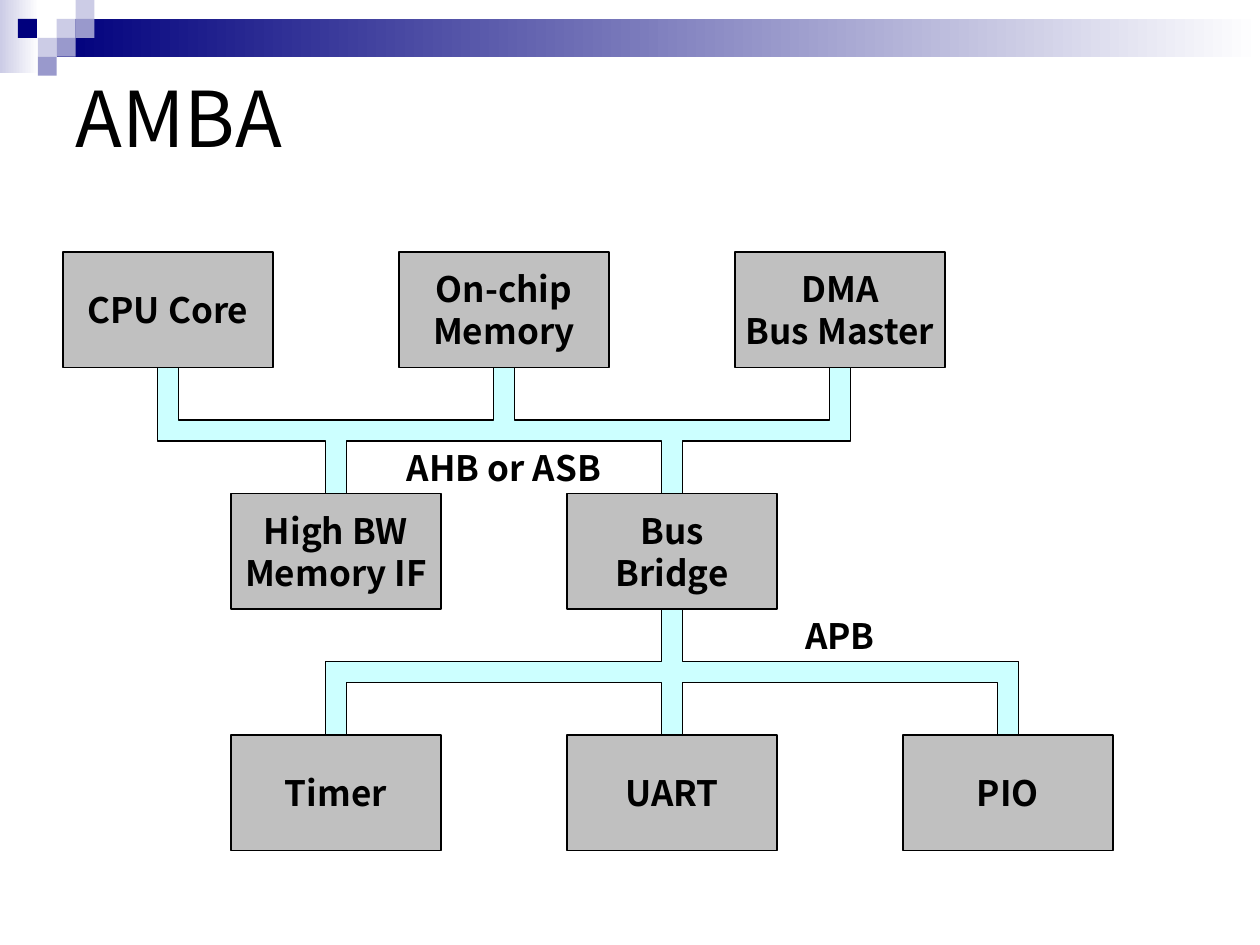
from pptx import Presentation
from pptx.dml.color import RGBColor
from pptx.enum.shapes import MSO_SHAPE
from pptx.enum.text import MSO_ANCHOR, PP_ALIGN
from pptx.util import Inches, Pt

FONT = "Noto Sans CJK KR"
BLACK, GREY, CYAN = "000000", "C0C0C0", "CCFFFF"
NAVY, LILAC, VIOLET, WHITE = "00007D", "CCCCE6", "9999CC", "FFFFFF"

# The diagram lies on a grid of twelfths of an inch
UNIT = 1 / 12
BLOCK_WIDTH, BLOCK_HEIGHT = 20 * UNIT, 11 * UNIT
PITCH = 32 * UNIT
BUS_WIDTH = 2 * UNIT
STUB = 5 * UNIT


def color(value):
    return RGBColor.from_string(value)


def write(shape, text, size=20, bold=True, align=PP_ALIGN.CENTER, wrap=False,
          side_margin=0.1):
    frame = shape.text_frame
    frame.word_wrap = wrap
    frame.vertical_anchor = MSO_ANCHOR.MIDDLE
    frame.margin_left = frame.margin_right = Inches(side_margin)
    for number, line in enumerate(text.split("\n")):
        para = frame.paragraphs[0] if number == 0 else frame.add_paragraph()
        para.alignment = align
        span = para.add_run()
        span.text = line
        span.font.name = FONT
        span.font.size = Pt(size)
        span.font.bold = bold
        span.font.color.rgb = color(BLACK)


def add_text(page, box, text, **text_format):
    write(page.shapes.add_textbox(*map(Inches, box)), text, **text_format)


def add_rectangle(page, box):
    shape = page.shapes.add_shape(MSO_SHAPE.RECTANGLE, *map(Inches, box))
    shape.shadow.inherit = False
    return shape


def paint(shape, fill):
    shape.fill.solid()
    shape.fill.fore_color.rgb = color(fill)
    shape.line.color.rgb = color(BLACK)
    shape.line.width = Pt(0.75)


def add_banner(page, left, top, width):
    """Two fading bars and a mosaic of small squares."""
    bars = [((left, top, 0.31, 0.58), LILAC),
            ((left + 0.45, top + 0.15, width - 0.45, 0.3), NAVY)]
    for box, tint in bars:
        bar = add_rectangle(page, box)
        bar.line.fill.background()
        bar.fill.gradient()
        bar.fill.gradient_angle = 180
        for stop, value in zip(bar.fill.gradient_stops, (WHITE, tint)):
            stop.color.rgb = color(value)
        bar.fill.gradient_stops[0].position = 0
        bar.fill.gradient_stops[1].position = 1

    side = 0.15
    squares = [(3, 1, LILAC), (4, 0, LILAC), (4, 1, VIOLET), (2, 2, LILAC),
               (0.95, 1, NAVY), (3, 2, VIOLET), (2, 3, VIOLET)]
    for column, row, tint in squares:
        square = add_rectangle(
            page, (left + column * side, top + row * side, side, side))
        square.fill.solid()
        square.fill.fore_color.rgb = color(tint)
        square.line.fill.background()


def add_block_row(page, left, top, labels):
    """Evenly spaced blocks; returns the centre of each."""
    centers = []
    for number, label in enumerate(labels):
        x = left + number * PITCH
        block = add_rectangle(page, (x, top, BLOCK_WIDTH, BLOCK_HEIGHT))
        paint(block, GREY)
        write(block, label)
        centers.append(x + BLOCK_WIDTH / 2)
    return centers


def add_bus(page, top, upper, lower):
    """One outline: a trunk with stubs up and down at the given centres."""
    half = BUS_WIDTH / 2
    trunk_top = top + STUB
    trunk_bottom = trunk_top + BUS_WIDTH
    bottom = trunk_bottom + STUB
    left, right = min(upper + lower) - half, max(upper + lower) + half

    points = [(left, trunk_top)]
    for x in upper:
        points += [(x - half, trunk_top), (x - half, top),
                   (x + half, top), (x + half, trunk_top)]
    points += [(right, trunk_top), (right, trunk_bottom)]
    for x in reversed(lower):
        points += [(x + half, trunk_bottom), (x + half, bottom),
                   (x - half, bottom), (x - half, trunk_bottom)]
    points.append((left, trunk_bottom))

    corners = [(Inches(x), Inches(y)) for x, y in points]
    builder = page.shapes.build_freeform(*corners[0])
    builder.add_line_segments(corners[1:], close=True)
    bus = builder.convert_to_shape()
    bus.shadow.inherit = False
    paint(bus, CYAN)


def add_diagram(page, left, top):
    step = BLOCK_HEIGHT + 2 * STUB + BUS_WIDTH
    indent = left + PITCH / 2
    masters = add_block_row(page, left, top,
                            ["CPU Core", "On-chip\nMemory", "DMA\nBus Master"])
    bridges = add_block_row(page, indent, top + step,
                            ["High BW\nMemory IF", "Bus\nBridge"])
    peripherals = add_block_row(page, indent, top + 2 * step,
                                ["Timer", "UART", "PIO"])

    # Buses between the rows
    system_bus_top = top + BLOCK_HEIGHT
    peripheral_bus_top = system_bus_top + step
    add_bus(page, system_bus_top, masters, bridges)
    add_bus(page, peripheral_bus_top, bridges[1:], peripherals)

    # Bus names, each on one line across the full width of its box
    names = [("AHB or ASB", left + PITCH, system_bus_top + STUB + BUS_WIDTH),
             ("APB", left + 2 * PITCH, peripheral_bus_top)]
    for name, x, y in names:
        add_text(page, (x, y, BLOCK_WIDTH, STUB), name, side_margin=0)


def main():
    deck = Presentation()
    deck.slide_width, deck.slide_height = Inches(10), Inches(7.5)
    page = deck.slides.add_slide(deck.slide_layouts[6])
    add_banner(page, 0, 0, 10)
    add_text(page, (0.5, 0.3, 9, 1.25), "AMBA", size=44, bold=False,
             align=PP_ALIGN.LEFT, wrap=True)
    add_diagram(page, 0.5, 2)
    deck.save("out.pptx")


if __name__ == "__main__":
    main()
